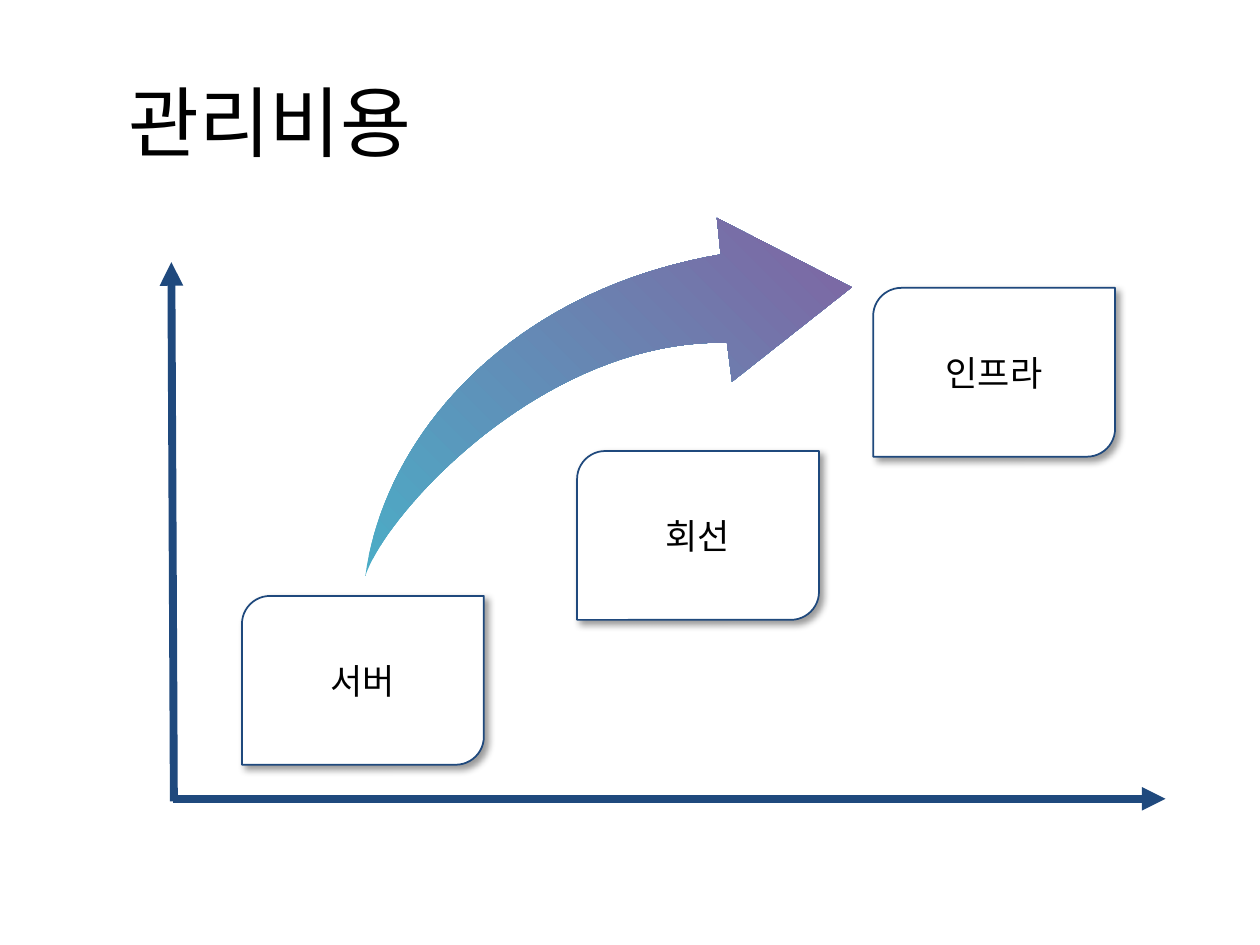
from dataclasses import dataclass

from lxml.etree import SubElement
from pptx import Presentation
from pptx.dml.color import RGBColor
from pptx.enum.shapes import MSO_CONNECTOR, MSO_SHAPE
from pptx.enum.text import MSO_ANCHOR, PP_ALIGN
from pptx.oxml.ns import qn
from pptx.util import Inches, Pt


@dataclass(frozen=True)
class Theme:
    """Colours, fonts and sizes of the slide."""

    navy: RGBColor = RGBColor(0x1F, 0x49, 0x7D)
    teal: RGBColor = RGBColor(0x4B, 0xAC, 0xC6)
    purple: RGBColor = RGBColor(0x80, 0x64, 0xA2)
    paper: RGBColor = RGBColor(0xFF, 0xFF, 0xFF)
    ink: RGBColor = RGBColor(0, 0, 0)
    font: str = "Calibri"
    accent_font: str = "Karla"
    title_size: Pt = Pt(44)
    label_size: Pt = Pt(20)
    axis_width: Pt = Pt(4.5)
    border_width: Pt = Pt(1)


THEME = Theme()
COLUMNS, ROWS = 100, 75
WIDTH, HEIGHT = Inches(10), Inches(7.5)
CARD_SIZE = (19.2, 13.4)
CARDS = [
    ("서버", 19.2, 47.3, THEME.font),
    ("회선", 45.8, 35.8, THEME.accent_font),
    ("인프라", 69.3, 22.85, THEME.font),
]
AXES = [((13.7, 63.4), (92.5, 63.4)), ((13.8, 63.6), (13.6, 20.8))]
OUTER_CURVE = [(29, 45.7), (30.5, 34.7), (40.3, 23.1), (57.2, 20.2)]
ARROWHEAD = [(56.9, 17.3), (67.6, 22.8), (58.1, 30.3)]
INNER_CURVE = [(57.7, 27.2), (43.2, 26.9), (30.7, 40.6), (29, 45.7)]


def place(column, row):
    """Turn a grid position or size into slide lengths."""
    return round(WIDTH * column / COLUMNS), round(HEIGHT * row / ROWS)


def write(shape, text, size, font, align):
    """Set one line of vertically centred text."""
    frame = shape.text_frame
    frame.word_wrap = True
    frame.vertical_anchor = MSO_ANCHOR.MIDDLE
    frame.text = text
    paragraph = frame.paragraphs[0]
    paragraph.alignment = align
    letters = paragraph.runs[0].font
    letters.size, letters.name = size, font
    letters.color.rgb = THEME.ink


def add_title(slide, text):
    """Add the slide title."""
    title = slide.shapes.add_textbox(*place(9.2, 3.3), *place(88.3, 12.5))
    write(title, text, THEME.title_size, THEME.font, PP_ALIGN.LEFT)


def add_axis(slide, start, end):
    """Add an axis with a triangular tip."""
    axis = slide.shapes.add_connector(
        MSO_CONNECTOR.STRAIGHT, *place(*start), *place(*end)
    )
    axis.line.color.rgb = THEME.navy
    axis.line.width = THEME.axis_width
    properties = axis._element.spPr
    SubElement(properties.find(qn("a:ln")), qn("a:tailEnd"), type="triangle")
    SubElement(properties, qn("a:effectLst"))


def add_drop_shadow(shape):
    """Give a shape a soft shadow to the lower right."""
    shape.shadow.inherit = False
    effects = shape._element.spPr.find(qn("a:effectLst"))
    shadow = SubElement(
        effects, qn("a:outerShdw"), blurRad=str(Pt(4)), dist=str(Pt(3)),
        dir="2700000", algn="tl", rotWithShape="0",
    )
    colour = SubElement(shadow, qn("a:srgbClr"), val=str(THEME.ink))
    SubElement(colour, qn("a:alpha"), val="40000")


def add_card(slide, label, column, row, font):
    """Add a labelled card with two rounded corners."""
    card = slide.shapes.add_shape(
        MSO_SHAPE.ROUND_2_DIAG_RECTANGLE, *place(column, row), *place(*CARD_SIZE)
    )
    card.fill.solid()
    card.fill.fore_color.rgb = THEME.paper
    card.line.color.rgb = THEME.navy
    card.line.width = THEME.border_width
    add_drop_shadow(card)
    frame = card.text_frame
    frame.margin_left = frame.margin_right = Inches(0.05)
    frame.margin_top = frame.margin_bottom = Inches(0.05)
    write(card, label, THEME.label_size, font, PP_ALIGN.CENTER)


def trace_curve(controls, steps=40):
    """Return points along a cubic curve."""
    points = []
    for step in range(steps + 1):
        t = step / steps
        weights = ((1 - t) ** 3, 3 * t * (1 - t) ** 2, 3 * t**2 * (1 - t), t**3)
        points.append(
            tuple(sum(w * c for w, c in zip(weights, axis)) for axis in zip(*controls))
        )
    return points


def add_growth_arrow(slide):
    """Add the curved arrow that rises over the cards."""
    outline = trace_curve(OUTER_CURVE) + ARROWHEAD + trace_curve(INNER_CURVE)
    start, *others = [place(*point) for point in outline]
    builder = slide.shapes.build_freeform(*start)
    builder.add_line_segments(others, close=True)
    arrow = builder.convert_to_shape()
    arrow.shadow.inherit = False
    arrow.line.fill.background()
    arrow.fill.gradient()
    arrow.fill.gradient_angle = 45
    for stop, colour in zip(arrow.fill.gradient_stops, (THEME.teal, THEME.purple)):
        stop.color.rgb = colour


def main():
    """Build and save the management cost slide."""
    deck = Presentation()
    deck.slide_width, deck.slide_height = WIDTH, HEIGHT
    slide = deck.slides.add_slide(deck.slide_layouts[6])
    for start, end in AXES:
        add_axis(slide, start, end)
    add_title(slide, "관리비용")
    for card in CARDS:
        add_card(slide, *card)
    add_growth_arrow(slide)
    deck.save("out.pptx")


if __name__ == "__main__":
    main()
